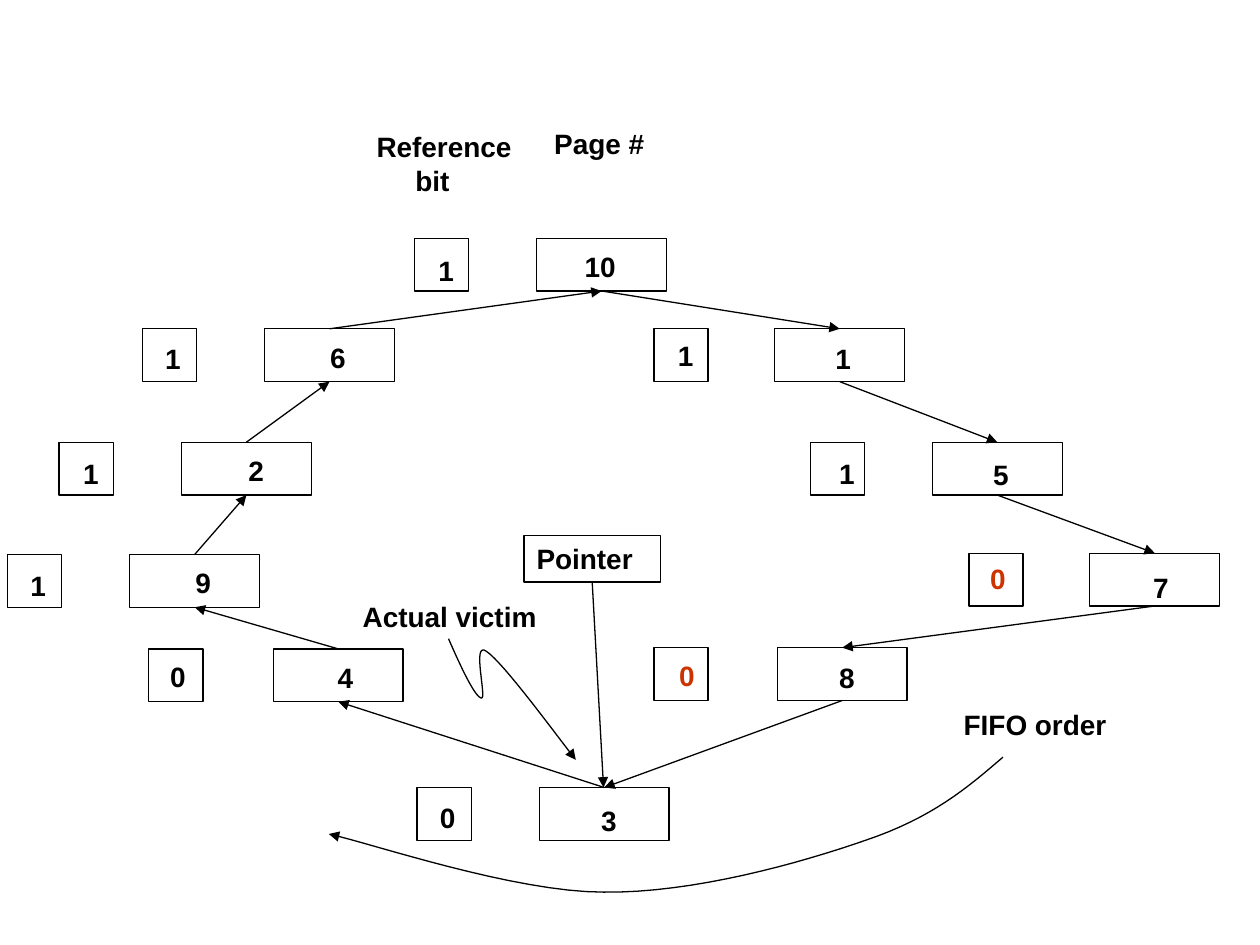
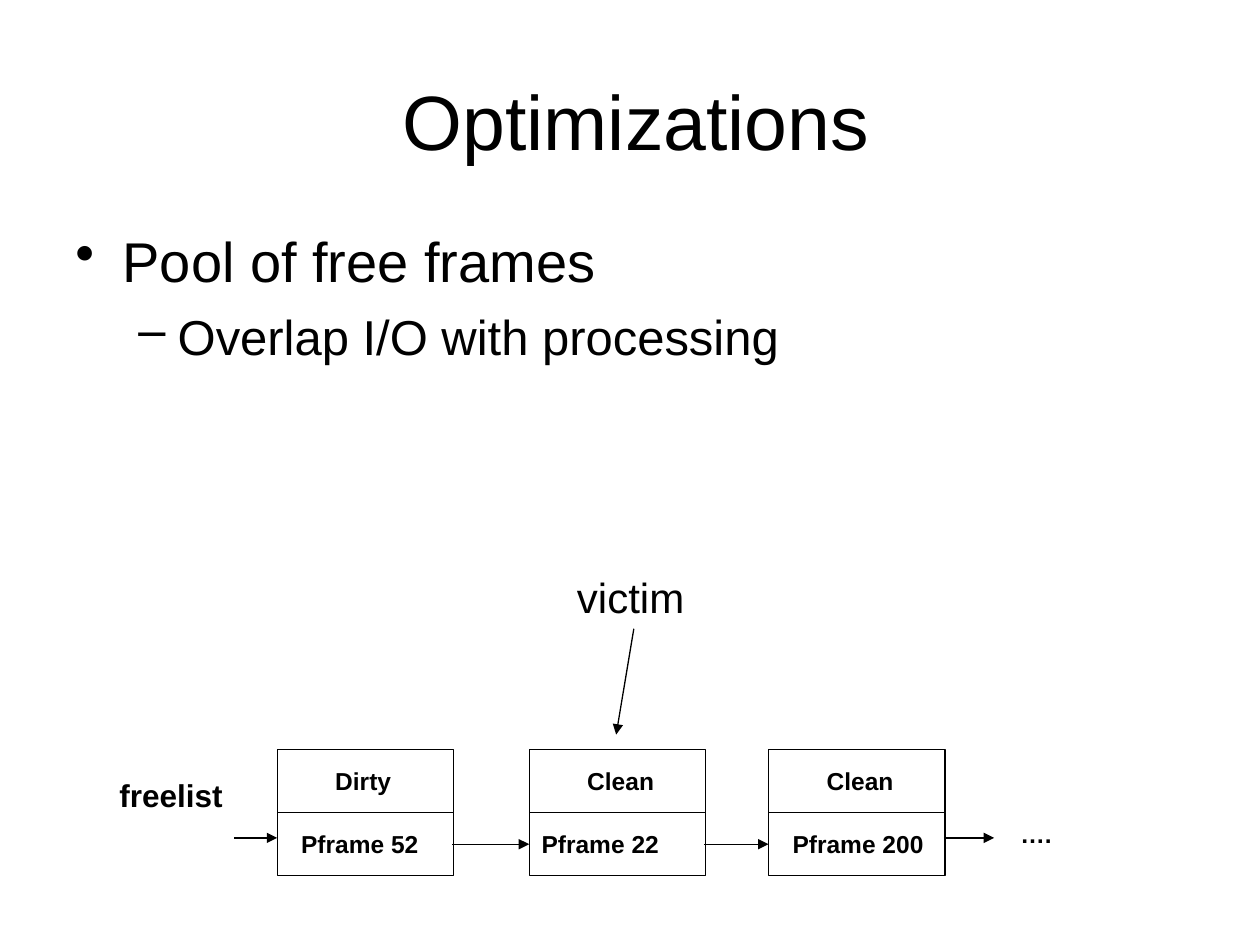
"""Build two slides on page replacement: the clock queue and the free list."""
from dataclasses import dataclass
from itertools import pairwise

from lxml import etree
from pptx import Presentation
from pptx.dml.color import RGBColor
from pptx.enum.shapes import MSO_CONNECTOR, MSO_SHAPE
from pptx.enum.text import MSO_ANCHOR, PP_ALIGN
from pptx.oxml.ns import qn
from pptx.util import Pt

RECTANGLE = MSO_SHAPE.RECTANGLE
STRAIGHT = MSO_CONNECTOR.STRAIGHT
TOP, MIDDLE = MSO_ANCHOR.TOP, MSO_ANCHOR.MIDDLE
LEFT, CENTER = PP_ALIGN.LEFT, PP_ALIGN.CENTER


@dataclass(frozen=True)
class Theme:
    """Colours, font and sizes shared by the slides."""
    font: str = "Arial"
    ink: RGBColor = RGBColor(0, 0, 0)
    alert: RGBColor = RGBColor(0xCC, 0x33, 0)
    line: float = 0.75
    title: float = 44
    bullet: float = 32
    dash: float = 28
    callout: float = 24
    list_name: float = 18
    label: float = 16
    cell: float = 14


THEME = Theme()


def write(paragraph, text, size=THEME.label, bold=True, color=THEME.ink, align=LEFT,
          indent=0, hanging=0, bullet=None, before=0):
    """Put formatted text into a paragraph."""
    properties = paragraph._p.get_or_add_pPr()
    properties.set("marL", str(Pt(indent)))
    properties.set("indent", str(-Pt(hanging)))
    if bullet:
        etree.SubElement(properties, qn("a:buChar"), char=bullet)
    paragraph.alignment = align
    paragraph.space_before = Pt(before)
    span = paragraph.add_run()
    span.text = text
    span.font.name = THEME.font
    span.font.size = Pt(size)
    span.font.bold = bold
    span.font.color.rgb = color


class Page:
    """One slide and the elements drawn on it in the theme's style."""

    def __init__(self, deck):
        """Add a blank slide to the deck."""
        self.shapes = deck.slides.add_slide(deck.slide_layouts[6]).shapes

    def frame(self, shape, inset, anchor):
        """Prepare the text frame of a shape."""
        frame = shape.text_frame
        frame.word_wrap = True
        frame.vertical_anchor = anchor
        frame.margin_left, frame.margin_top = Pt(inset[0]), Pt(inset[1])
        frame.margin_right = frame.margin_bottom = 0
        return frame

    def text(self, x, y, width, height, *lines, anchor=TOP, **style):
        """Add a text box; each line is a text or a (text, format) pair."""
        box = self.shapes.add_textbox(Pt(x), Pt(y), Pt(width), Pt(height))
        frame = self.frame(box, (7.2, 3.6), anchor)
        for number, line in enumerate(lines):
            text, extra = (line, {}) if isinstance(line, str) else line
            para = frame.add_paragraph() if number else frame.paragraphs[0]
            write(para, text, **{**style, **extra})

    def box(self, x, y, width, height, text, inset, anchor=TOP, **style):
        """Add an outlined rectangle with its text."""
        box = self.shapes.add_shape(RECTANGLE, Pt(x), Pt(y), Pt(width), Pt(height))
        box.shadow.inherit = False
        box.fill.background()
        self.outline(box)
        write(self.frame(box, inset, anchor).paragraphs[0], text, **style)

    def outline(self, shape, arrow=False):
        """Set the line of a shape, with an arrowhead at its end if asked."""
        shape.line.color.rgb = THEME.ink
        shape.line.width = Pt(THEME.line)
        if arrow:
            line = shape._element.spPr.find(qn("a:ln"))
            etree.SubElement(line, qn("a:tailEnd"), type="triangle")

    def arrow(self, start, end):
        """Add a straight arrow between two points."""
        arrow = self.shapes.add_connector(STRAIGHT, *map(Pt, (*start, *end)))
        self.outline(arrow, arrow=True)
        etree.SubElement(arrow._element.spPr, qn("a:effectLst"))

    def curve(self, start, *pieces, steps=16):
        """Add a curved arrow through cubic Bézier pieces."""
        builder = self.shapes.build_freeform(*map(Pt, start))
        points = []
        for first, second, end in pieces:
            for step in range(1, steps + 1):
                t = step / steps
                weights = ((1 - t) ** 3, 3 * t * (1 - t) ** 2, 3 * t * t * (1 - t), t ** 3)
                corners = (start, first, second, end)
                points.append([Pt(sum(w * c[axis] for w, c in zip(weights, corners)))
                               for axis in (0, 1)])
            start = end
        builder.add_line_segments(points, close=False)
        curve = builder.convert_to_shape()
        curve.shadow.inherit = False
        curve.fill.background()
        self.outline(curve, arrow=True)


FRAME_WIDTH, BIT_WIDTH, FRAME_HEIGHT = 74.2, 31, 30.2

# page number, frame x, y, number inset, bit, bit x, bit inset, bit colour
CLOCK = (
    ("10", 306.7, 136.1, (27.4, 6.5), "1", 236.9, (13.7, 8.6), THEME.ink),
    ("1", 442.8, 187.9, (34.6, 7.2), "1", 373.7, (13.7, 5.8), THEME.ink),
    ("5", 532.8, 252.7, (34.7, 8.7), "1", 463, (16.5, 7.9), THEME.ink),
    ("7", 622.8, 316.1, (36.1, 10.1), "0", 553.7, (12.2, 5), THEME.alert),
    ("8", 444.2, 370.1, (35.4, 7.2), "0", 373.7, (14.4, 6.5), THEME.alert),
    ("3", 308.2, 450, (35.3, 9.4), "0", 238.3, (13, 7.2), THEME.ink),
    ("4", 156.2, 370.8, (36.8, 6.5), "0", 85, (12.2, 5.8), THEME.ink),
    ("9", 74.2, 316.8, (37.5, 6.5), "1", 4.3, (13, 7.9), THEME.ink),
    ("2", 103.7, 252.7, (38.2, 6.5), "1", 33.8, (13.7, 7.9), THEME.ink),
    ("6", 151.2, 187.9, (37.5, 6.5), "1", 81.4, (13, 7.2), THEME.ink),
)


def edge(frame, other):
    """Return the middle of the frame's edge that faces the other frame."""
    x, y = frame[1:3]
    return x + FRAME_WIDTH / 2, y + (FRAME_HEIGHT if y < other[2] else 0)


def clock_slide(deck):
    """Draw the circular queue of pages with their reference bits."""
    page = Page(deck)
    for number, x, y, inset, bit, bit_x, bit_inset, color in CLOCK:
        page.box(x, y, FRAME_WIDTH, FRAME_HEIGHT, number, inset)
        page.box(bit_x, y, BIT_WIDTH, FRAME_HEIGHT, bit, bit_inset, color=color)
    for frame, following in pairwise(CLOCK + CLOCK[:1]):
        page.arrow(edge(frame, following), edge(following, frame))

    page.text(208.1, 70.6, 100, 46, "Reference", ("bit", {"indent": 22.2}))
    page.text(309.6, 69, 84, 26.6, "Page #")
    page.text(543.6, 401, 104.4, 26.6, "FIFO order")
    page.text(200.2, 339.1, 125.3, 26.6, "Actual victim")
    page.box(299.5, 306, 77.8, 26.6, "Pointer", (7.2, 3.6))
    page.arrow((338.4, 332.6), (344.9, 450))
    page.curve((573.1, 432.7),
               ((553, 450), (532.8, 467.3), (494.6, 480.2)),
               ((457.2, 493.2), (396, 510.5), (344.9, 509.8)),
               ((293.8, 509.8), (213.8, 482.4), (187.9, 476.6)))
    page.curve((256.3, 365),
               ((263.5, 381.6), (271.4, 398.2), (275, 398.9)),
               ((278.6, 400.3), (269.3, 365.8), (277.9, 372.2)),
               ((287.3, 378), (320.4, 423.4), (329, 434.2)))


def free_list_slide(deck):
    """Draw the pool of free frames as a linked list."""
    page = Page(deck)
    page.text(36, 21.6, 648, 90, "Optimizations", anchor=MIDDLE,
              size=THEME.title, bold=False, align=CENTER)
    page.text(36, 126, 648, 186,
              ("Pool of free frames",
               {"size": THEME.bullet, "bullet": "•", "indent": 27, "hanging": 27}),
              ("Overlap I/O with processing",
               {"size": THEME.dash, "bullet": "–", "indent": 58.5, "hanging": 22.5,
                "before": 7}),
              bold=False)

    width, height, top = 100.8, 36, 428.4
    for x, state, name, inset in ((158.4, "Dirty", "Pframe 52", 13.7),
                                  (302.4, "Clean", "Pframe 22", 7.2),
                                  (439.2, "Clean", "Pframe 200", 13.7)):
        for row, (text, left) in enumerate(((state, 33.2), (name, inset))):
            page.box(x, top + row * height, width, height, text, (left, 0),
                     anchor=MIDDLE, size=THEME.cell)
    for start, end, y in ((133.9, 158.4, 478.8), (258.5, 302.4, 482.4),
                          (402.5, 439.2, 482.4), (539.3, 568.1, 478.8)):
        page.arrow((start, y), (end, y))

    page.text(61.2, 439.9, 80, 28.8, "freelist", size=THEME.list_name)
    page.text(576, 464.4, 40, 24.5, "….", size=THEME.cell)
    page.text(322.6, 323.3, 80, 36, "victim", size=THEME.callout, bold=False)
    page.arrow((362.2, 359.3), (352.1, 419.8))


def main():
    """Build and save the deck."""
    deck = Presentation()
    deck.slide_width, deck.slide_height = Pt(720), Pt(540)
    clock_slide(deck)
    free_list_slide(deck)
    deck.save("out.pptx")


if __name__ == "__main__":
    main()
